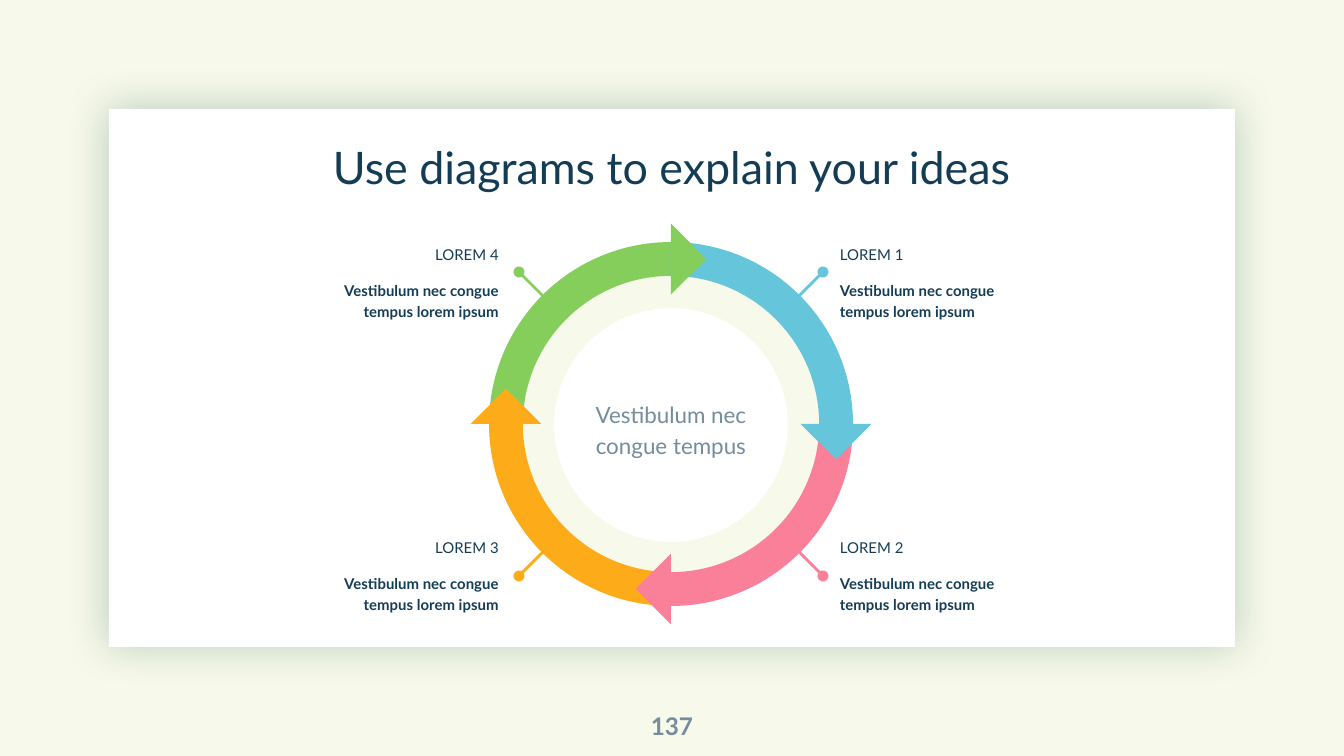
from dataclasses import dataclass

import lxml.etree
import pptx
import pptx.dml.color
import pptx.enum.shapes
import pptx.enum.text
import pptx.oxml.ns
import pptx.util

EMU_PER_PX = 914400 / 134.4
FONT = "Lato"
CREAM, WHITE, NAVY, GREY = "F7F9EA", "FFFFFF", "143C55", "748C9C"
SHAPES = pptx.enum.shapes.MSO_SHAPE
ALIGN = pptx.enum.text.PP_ALIGN
ANCHOR = pptx.enum.text.MSO_ANCHOR

CENTER_X, CENTER_Y = 671, 424
RING_RADIUS = 182
RING_THICKNESS = 0.093  # fraction of the ring's diameter
ARROW_RADIUS, ARROW_SIZE = 165, 50
LEADER_INNER, LEADER_OUTER = 107, 152
LABEL_WIDTH, LABEL_HEIGHT = 203, 91
LABEL_LEFT = {-1: 309, 1: 827}
LABEL_TOP = {-1: 230, 1: 523}


@dataclass(frozen=True)
class Stage:
    heading: str
    color: str
    start: int  # degrees, clockwise from three o'clock
    side_x: int
    side_y: int


@dataclass(frozen=True)
class TextLine:
    text: str
    size: int
    color: str
    bold: bool = False
    space_before: float = 0


STAGES = [
    Stage("LOREM 4", "85CE5B", 180, -1, -1),
    Stage("LOREM 1", "65C5DB", 270, 1, -1),
    Stage("LOREM 3", "FEAB19", 90, -1, 1),
    Stage("LOREM 2", "FA7F99", 0, 1, 1),
]


def px(value: float) -> int:
    return pptx.util.Emu(round(value * EMU_PER_PX))


def rgb(color: str) -> pptx.dml.color.RGBColor:
    return pptx.dml.color.RGBColor.from_string(color)


def add_element(parent, tag: str, **attributes: str):
    element = lxml.etree.SubElement(parent, pptx.oxml.ns.qn(tag))
    for name, value in attributes.items():
        element.set(name, value)
    return element


def add_filled_shape(slide, kind, left: int, top: int, width: int, height: int, color: str):
    shape = slide.shapes.add_shape(kind, px(left), px(top), px(width), px(height))
    shape.shadow.inherit = False
    shape.fill.solid()
    shape.fill.fore_color.rgb = rgb(color)
    shape.line.fill.background()
    return shape


def add_centered_shape(slide, kind, x: int, y: int, size: int, color: str):
    return add_filled_shape(slide, kind, x - size // 2, y - size // 2, size, size, color)


def add_glow(shape, color: str) -> None:
    """Surround the shape with a soft shadow that has no offset."""
    effects = shape._element.spPr.find(pptx.oxml.ns.qn("a:effectLst"))
    shadow = add_element(effects, "a:outerShdw", blurRad=str(pptx.util.Pt(22.5)),
                         algn="ctr", rotWithShape="0")
    add_element(add_element(shadow, "a:srgbClr", val=color), "a:alpha", val="25000")


def write_lines(frame, lines: list[TextLine], align, anchor, spacing: float, inset: int) -> None:
    frame_format = {"word_wrap": True, "auto_size": pptx.enum.text.MSO_AUTO_SIZE.NONE,
                    "vertical_anchor": anchor}
    for side in ("left", "top", "right", "bottom"):
        frame_format[f"margin_{side}"] = px(inset)
    for name, value in frame_format.items():
        setattr(frame, name, value)
    for index, line in enumerate(lines):
        paragraph = frame.add_paragraph() if index else frame.paragraphs[0]
        paragraph.alignment = align
        paragraph.line_spacing = spacing
        paragraph.space_before = pptx.util.Pt(line.space_before)
        run = paragraph.add_run()
        run.text = line.text
        font_format = {"name": FONT, "size": pptx.util.Pt(line.size), "bold": line.bold}
        for name, value in font_format.items():
            setattr(run.font, name, value)
        run.font.color.rgb = rgb(line.color)


def add_text(slide, left: int, top: int, width: int, height: int, lines: list[TextLine],
             align=ALIGN.CENTER, anchor=ANCHOR.MIDDLE, spacing: float = 1.15,
             inset: int = 13) -> None:
    box = slide.shapes.add_textbox(px(left), px(top), px(width), px(height))
    write_lines(box.text_frame, lines, align, anchor, spacing, inset)


def format_title(slide, text: str) -> None:
    title = slide.shapes.title
    bounds = {"left": 159, "top": 144, "width": 1025, "height": 50}
    for name, value in bounds.items():
        setattr(title, name, px(value))
    write_lines(title.text_frame, [TextLine(text, 24, NAVY)],
                ALIGN.CENTER, ANCHOR.BOTTOM, 0.9, 0)


def add_leader(slide, stage: Stage) -> None:
    ends = [
        px(center + side * distance)
        for distance in (LEADER_OUTER, LEADER_INNER)
        for center, side in ((CENTER_X, stage.side_x), (CENTER_Y, stage.side_y))
    ]
    leader = slide.shapes.add_connector(pptx.enum.shapes.MSO_CONNECTOR.STRAIGHT, *ends)
    leader.line.color.rgb = rgb(stage.color)
    leader.line.width = pptx.util.Pt(1.5)
    add_element(leader.line._get_or_add_ln(), "a:headEnd", type="oval")
    add_element(leader._element.spPr, "a:effectLst")


def add_label(slide, stage: Stage) -> None:
    lines = [
        TextLine(stage.heading, 8, NAVY),
        TextLine("Vestibulum nec congue tempus lorem ipsum", 8, NAVY, True, 8.5),
    ]
    add_text(slide, LABEL_LEFT[stage.side_x], LABEL_TOP[stage.side_y],
             LABEL_WIDTH, LABEL_HEIGHT, lines,
             align=ALIGN.RIGHT if stage.side_x < 0 else ALIGN.LEFT, anchor=ANCHOR.TOP)


def add_arc(slide, stage: Stage) -> None:
    arc = add_centered_shape(slide, SHAPES.BLOCK_ARC, CENTER_X, CENTER_Y,
                             2 * RING_RADIUS, stage.color)
    # Angles are stored in 1/60000 degree, adjustments in 1/100000.
    arc.adjustments[0] = stage.start * 0.6
    arc.adjustments[1] = (stage.start + 90) % 360 * 0.6
    arc.adjustments[2] = RING_THICKNESS


def add_arrow_tip(slide, stage: Stage) -> None:
    end = (stage.start + 90) % 360
    direction_x, direction_y = {0: (1, 0), 90: (0, 1), 180: (-1, 0), 270: (0, -1)}[end]
    tip = add_centered_shape(slide, SHAPES.RIGHT_TRIANGLE,
                             CENTER_X + direction_x * ARROW_RADIUS,
                             CENTER_Y + direction_y * ARROW_RADIUS, ARROW_SIZE, stage.color)
    tip.rotation = (end + 315) % 360


def main() -> None:
    presentation = pptx.Presentation()
    presentation.slide_width, presentation.slide_height = px(1344), px(756)
    slide = presentation.slides.add_slide(presentation.slide_layouts[5])
    slide.background.fill.solid()
    slide.background.fill.fore_color.rgb = rgb(CREAM)

    card = add_filled_shape(slide, SHAPES.RECTANGLE, 109, 109, 1126, 538, WHITE)
    add_glow(card, "054C3A")
    slide.shapes._spTree.insert(2, card._element)  # behind the title
    format_title(slide, "Use diagrams to explain your ideas")
    add_text(slide, 632, 697, 80, 58, [TextLine("137", 13, GREY, True)], spacing=1, inset=0)

    donut = add_centered_shape(slide, SHAPES.DONUT, CENTER_X, CENTER_Y + 1, 344, CREAM)
    donut.adjustments[0] = 0.16
    add_text(slide, 573, 374, 196, 109, [TextLine("Vestibulum nec congue tempus", 12, GREY)])
    for draw in (add_leader, add_label, add_arc, add_arrow_tip):
        for stage in STAGES:
            draw(slide, stage)

    presentation.save("out.pptx")


if __name__ == "__main__":
    main()
